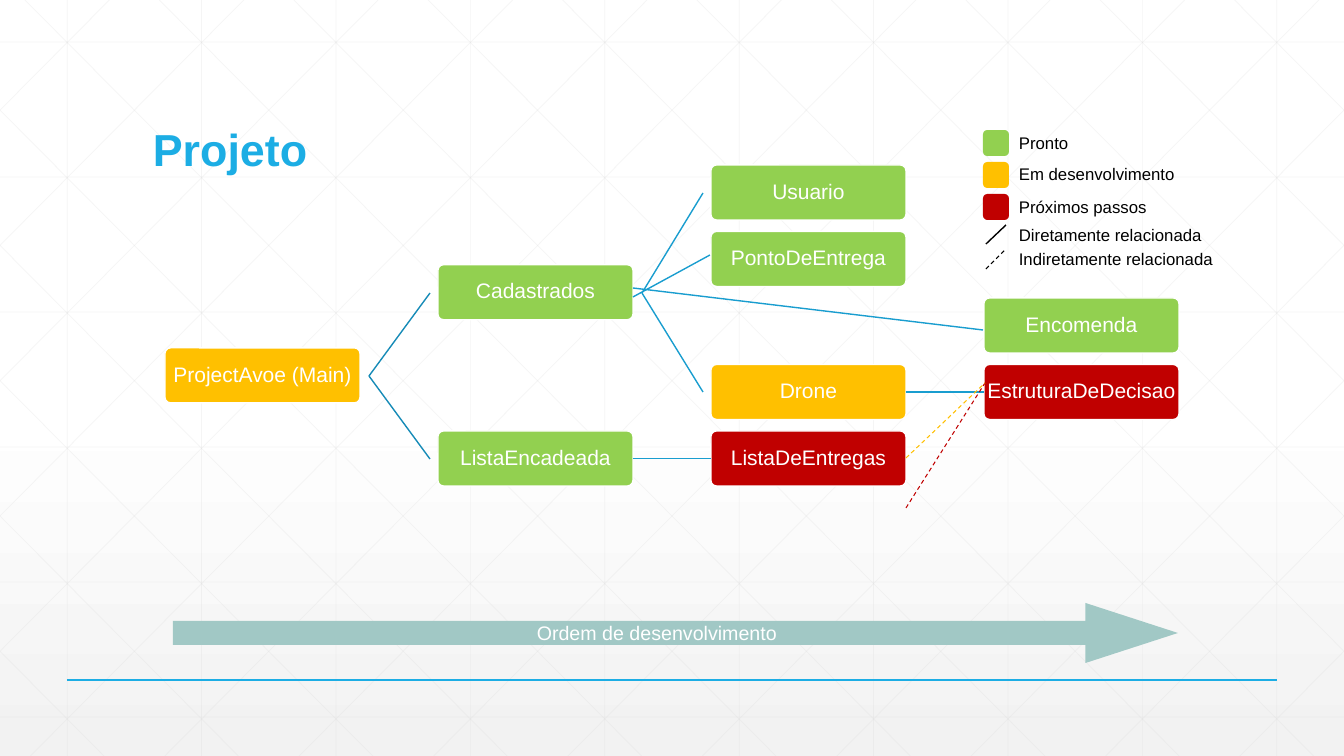
"""Build the project class diagram slide with its legend and order arrow."""
from lxml import etree
from pptx import Presentation
from pptx import util as u
from pptx.dml.color import RGBColor
from pptx.enum import dml, shapes, text
from pptx.oxml.ns import qn

WIDE, HIGH = 1344, 756
GREEN, AMBER, RED = "92D050", "FFC000", "C00000"
WHITE, BLACK, SKY, BLUE, DEEP = "FFFFFF", "000000", "1CADE4", "199DCF", "168BB7"

# name, column, row, colour
NODES = [
    ("ProjectAvoe (Main)", 0, 5.5, AMBER),
    ("Cadastrados", 1, 3, GREEN),
    ("Usuario", 2, 0, GREEN),
    ("PontoDeEntrega", 2, 2, GREEN),
    ("Encomenda", 3, 4, GREEN),
    ("Drone", 2, 6, AMBER),
    ("EstruturaDeDecisao", 3, 6, RED),
    ("ListaEncadeada", 1, 8, GREEN),
    ("ListaDeEntregas", 2, 8, RED),
]
JOINS = [("Drone", "EstruturaDeDecisao"), ("ListaEncadeada", "ListaDeEntregas")]
# ends, colour, points, dashed
LINES = [
    ((369, 376, 430, 293), DEEP, 1, False),
    ((369, 376, 430, 459), DEEP, 1, False),
    ((642, 293, 703, 193), BLUE, 1, False),
    ((642, 293, 703, 392), BLUE, 1, False),
    ((633, 297, 710, 255), BLUE, 1, False),
    ((633, 288, 983, 330), BLUE, 1, False),
    ((906, 508, 985, 383), RED, 0.75, True),
    ((906, 458, 985, 383), AMBER, 0.75, True),
    ((986, 244, 1006, 225), BLACK, 1, False),
    ((986, 269, 1006, 249), BLACK, 0.75, True),
    ((67, 680, 1277, 680), SKY, 1, False),
]
KEYS = [GREEN, AMBER, RED]
LABELS = [
    ("Pronto", 128),
    ("Em desenvolvimento", 159),
    ("Próximos passos", 192),
    ("Diretamente relacionada", 220),
    ("Indiretamente relacionada", 244),
]


def px(*sizes):
    return [u.Emu(round(n * 914400 / 100.8)) for n in sizes]


def rgb(code):
    return RGBColor.from_string(code)


def write(shape, words, size, color, align=text.PP_ALIGN.LEFT,
          anchor=text.MSO_ANCHOR.TOP, bold=False, space=1.0):
    frame = shape.text_frame
    frame.word_wrap = True
    frame.vertical_anchor = anchor
    para = frame.paragraphs[0]
    para.text = words
    para.alignment = align
    para.line_spacing = space
    font = para.font
    font.name, font.size, font.bold = "Arial", u.Pt(size), bold
    font.color.rgb = rgb(color)


def label(slide, box, words, size, color, **style):
    write(slide.shapes.add_textbox(*px(*box)), words, size, color, **style)


def block(slide, kind, box, color, edge=None):
    shape = slide.shapes.add_shape(kind, *px(*box))
    shape.shadow.inherit = False
    shape.fill.solid()
    shape.fill.fore_color.rgb = rgb(color)
    if edge:
        shape.line.color.rgb = rgb(edge)
        shape.line.width = u.Pt(1)
    else:
        shape.line.fill.background()
    return shape


def stroke(slide, ends, color, width, dash=False, alpha=None):
    line = slide.shapes.add_connector(shapes.MSO_CONNECTOR.STRAIGHT, *px(*ends))
    line.line.color.rgb = rgb(color)
    line.line.width = u.Pt(width)
    if dash:
        line.line.dash_style = dml.MSO_LINE.DASH
    props = line._element.spPr
    if alpha:
        tint = props.find(".//" + qn("a:srgbClr"))
        etree.SubElement(tint, qn("a:alpha")).set("val", str(alpha * 1000))
    etree.SubElement(props, qn("a:effectLst"))
    return line


def mesh():
    """Return the ends of every faint background line."""
    step, run = 134.4, 751 / HIGH
    ends = [(67.2 + step * i, 0, 67.2 + step * i, HIGH) for i in range(10)]
    ends += [(0, 42 + 135 * i, WIDE, 42 + 135 * i) for i in range(6)]
    for i in range(-5, 10):
        x = 25 + step * i
        top = max(0, -x / run)
        low = min(HIGH, (WIDE - x) / run)
        left, right = x + run * top, x + run * low
        ends.append((left, top, right, low))
        ends.append((WIDE - left, top, WIDE - right, low))
    return ends


def backdrop(slide):
    fill = slide.background.fill
    fill.gradient()
    fill.gradient_angle = 270
    for stop, spot, color in zip(fill.gradient_stops, (0.53, 1), (WHITE, "F2F2F2")):
        stop.position = spot
        stop.color.rgb = rgb(color)
    for ends in mesh():
        stroke(slide, ends, "D9D9D9", 0.5, alpha=25)


def diagram(slide):
    kind = shapes.MSO_SHAPE.ROUNDED_RECTANGLE
    boxes = {}
    for name, col, row, color in NODES:
        place = (165 + 273 * col, 165 + 33.25 * row, 195, 55)
        box = boxes[name] = block(slide, kind, place, color, WHITE)
        box.adjustments[0] = 0.1
        frame = box.text_frame
        frame.margin_left = frame.margin_right = px(1)[0]
        frame.margin_top = frame.margin_bottom = px(1)[0]
        write(box, name, 15, WHITE, text.PP_ALIGN.CENTER,
              text.MSO_ANCHOR.MIDDLE, space=0.9)
    for start, end in JOINS:
        line = stroke(slide, (0, 0, 1, 1), BLUE, 1)
        line.begin_connect(boxes[start], 3)
        line.end_connect(boxes[end], 1)
    for ends, color, width, dash in LINES:
        stroke(slide, ends, color, width, dash)


def legend(slide):
    kind = shapes.MSO_SHAPE.ROUNDED_RECTANGLE
    for i, color in enumerate(KEYS):
        block(slide, kind, (983, 130 + 32 * i, 26, 26), color)
    for words, top in LABELS:
        label(slide, (1009, top, 249, 30), words, 12, BLACK)


def main():
    deck = Presentation()
    deck.slide_width, deck.slide_height = px(WIDE, HIGH)
    slide = deck.slides.add_slide(deck.slide_layouts[6])
    backdrop(slide)
    label(slide, (143, 55, 1058, 126), "Projeto", 32, SKY,
          anchor=text.MSO_ANCHOR.BOTTOM, bold=True, space=0.9)
    arrow = block(slide, shapes.MSO_SHAPE.RIGHT_ARROW, (173, 603, 1005, 60), "A1C8C5")
    arrow.adjustments[0], arrow.adjustments[1] = 0.4, 1.54
    write(arrow, "Ordem de desenvolvimento", 14, WHITE,
          text.PP_ALIGN.CENTER, text.MSO_ANCHOR.MIDDLE)
    diagram(slide)
    legend(slide)
    deck.save("out.pptx")


if __name__ == "__main__":
    main()
